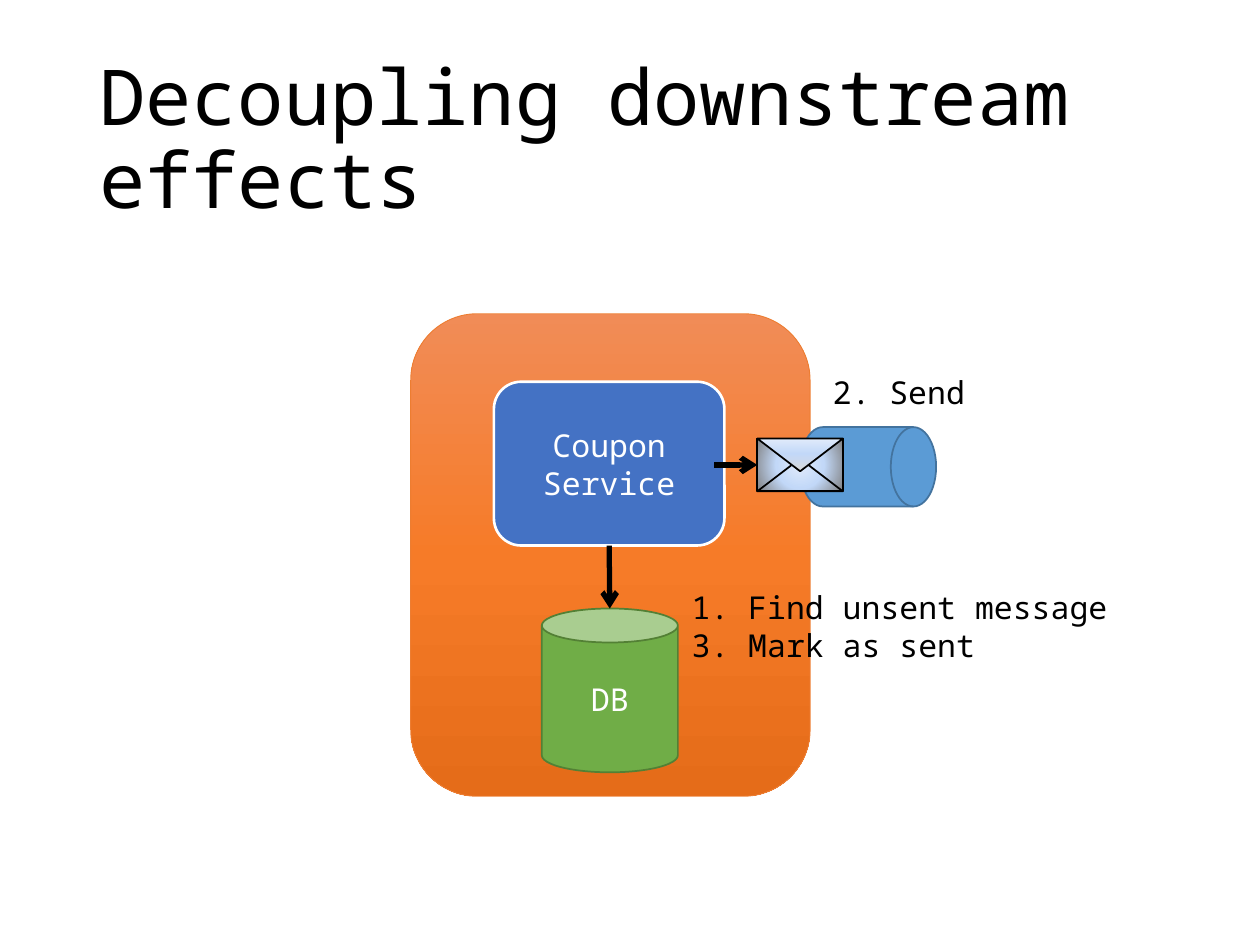
"""Build the slide on decoupling downstream effects with a message outbox."""
import pptx
import pptx.dml.color
import pptx.enum.shapes
import pptx.enum.text
import pptx.oxml
import pptx.oxml.ns
import pptx.util

Inches = pptx.util.Inches
RGBColor = pptx.dml.color.RGBColor
Shape = pptx.enum.shapes.MSO_SHAPE
Anchor = pptx.enum.text.MSO_ANCHOR
Align = pptx.enum.text.PP_ALIGN
qn = pptx.oxml.ns.qn

FONT = "Noto Sans Mono"
BLACK = RGBColor(0x00, 0x00, 0x00)
WHITE = RGBColor(0xFF, 0xFF, 0xFF)
ORANGE = RGBColor(0xED, 0x7D, 0x31)
BLUE = RGBColor(0x44, 0x72, 0xC4)
GREEN = RGBColor(0x70, 0xAD, 0x47)
DARK_GREEN = RGBColor(0x53, 0x80, 0x35)
SKY = RGBColor(0x5B, 0x9B, 0xD5)
DARK_SKY = RGBColor(0x43, 0x73, 0x9E)
ORANGE_STOPS = [(0, RGBColor(0xF1, 0x8C, 0x57)), (50, RGBColor(0xF6, 0x7B, 0x28)),
                (100, RGBColor(0xE5, 0x6C, 0x19))]
PAPER_STOPS = [(0, RGBColor(0xE1, 0xEB, 0xFB)), (48, RGBColor(0xC2, 0xD8, 0xF8))]
BODY_STOPS = PAPER_STOPS + [(100, RGBColor(0x80, 0x80, 0x80))]
FLAP_STOPS = PAPER_STOPS + [(100, RGBColor(0xD9, 0xD9, 0xD9))]
DOWN = '<a:lin ang="5400000" scaled="0"/>'
UP = '<a:lin ang="16200000" scaled="0"/>'
CIRCLE = '<a:path path="circle"><a:fillToRect l="50000" t="50000" r="50000" b="50000"/></a:path>'

TITLE = ("Decoupling downstream effects", (0.69, 0.4, 8.62, 1.45))
STEPS = [
    (["1. Find unsent message", "3. Mark as sent"], (5.39, 4.62, 3.67, 0.71)),
    (["2. Send"], (6.51, 2.91, 1.62, 0.4)),
]
BOUNDARY = (3.26, 2.49, 3.17, 3.83)
DATABASE = (4.3, 4.83, 1.08, 1.3)
SERVICE = (3.92, 3.03, 1.83, 1.3)
QUEUE = (6.35, 3.39, 1.08, 0.63)
ENVELOPE = (6.01, 3.48, 0.68, 0.42)
FLAP_HEIGHT = 0.26


def write(shape, lines, size, color, paragraph_format, frame_format):
    frame = shape.text_frame
    frame.word_wrap = True
    for name, value in frame_format.items():
        setattr(frame, name, value)
    for index, text in enumerate(lines):
        para = frame.add_paragraph() if index else frame.paragraphs[0]
        for name, value in paragraph_format.items():
            setattr(para, name, value)
        span = para.add_run()
        span.text = text
        for name, value in {"name": FONT, "size": pptx.util.Pt(size)}.items():
            setattr(span.font, name, value)
        span.font.color.rgb = color


def add_text(page, lines, place, size, paragraph_format, frame_format):
    box = page.shapes.add_textbox(*map(Inches, place))
    write(box, lines, size, BLACK, paragraph_format, frame_format)


def add_block(shapes, kind, place, fill, line, width, label=None):
    block = shapes.add_shape(kind, *map(Inches, place))
    block.shadow.inherit = False
    if fill is None:
        block.fill.background()
    else:
        block.fill.solid()
        block.fill.fore_color.rgb = fill
    block.line.color.rgb = line
    block.line.width = pptx.util.Pt(width)
    if label:
        write(block, [label], 18, WHITE, {"alignment": Align.CENTER},
              {"vertical_anchor": Anchor.MIDDLE})
    return block


def shade(block, stops, direction):
    block.fill.background()
    marks = "".join(f'<a:gs pos="{position * 1000}"><a:srgbClr val="{color}"/></a:gs>'
                    for position, color in stops)
    gradient = pptx.oxml.parse_xml(
        f'<a:gradFill {pptx.oxml.ns.nsdecls("a")} rotWithShape="1">'
        f'<a:gsLst>{marks}</a:gsLst>{direction}</a:gradFill>')
    properties = block.element.spPr
    properties.replace(properties.find(qn("a:noFill")), gradient)


def add_arrow(page, start, end):
    arrow = page.shapes.add_connector(pptx.enum.shapes.MSO_CONNECTOR.STRAIGHT,
                                      *map(Inches, start + end))
    arrow.line.color.rgb = BLACK
    arrow.line.width = pptx.util.Pt(3)
    properties = arrow.element.spPr
    head = properties.find(qn("a:ln")).makeelement(qn("a:tailEnd"), {"type": "arrow"})
    properties.find(qn("a:ln")).append(head)
    properties.append(properties.makeelement(qn("a:effectLst"), {}))
    return arrow


def add_envelope(page):
    left, top, width, height = ENVELOPE
    parts = page.shapes.add_group_shape().shapes
    body = add_block(parts, Shape.RECTANGLE, ENVELOPE, None, BLACK, 1)
    shade(body, BODY_STOPS, CIRCLE)
    add_block(parts, Shape.ISOSCELES_TRIANGLE,
              (left, top + height - FLAP_HEIGHT, width, FLAP_HEIGHT), None, BLACK, 1)
    flap = add_block(parts, Shape.ISOSCELES_TRIANGLE,
                     (left, top, width, FLAP_HEIGHT), None, BLACK, 1)
    flap.rotation = 180
    shade(flap, FLAP_STOPS, UP)
    return body


def main():
    deck = pptx.Presentation()
    deck.slide_width, deck.slide_height = Inches(10), Inches(7.5)
    page = deck.slides.add_slide(deck.slide_layouts[6])

    title, place = TITLE
    add_text(page, [title], place, 44, {"line_spacing": 0.9},
             {"vertical_anchor": Anchor.MIDDLE})
    boundary = add_block(page.shapes, Shape.ROUNDED_RECTANGLE, BOUNDARY, None, ORANGE, 0.5)
    shade(boundary, ORANGE_STOPS, DOWN)
    add_block(page.shapes, Shape.CAN, DATABASE, GREEN, DARK_GREEN, 1, "DB")
    service = add_block(page.shapes, Shape.ROUNDED_RECTANGLE, SERVICE, BLUE, WHITE, 1.5,
                        "Coupon Service")

    database_top = (DATABASE[0] + DATABASE[2] / 2, DATABASE[1])
    store = add_arrow(page, (database_top[0], SERVICE[1] + SERVICE[3]), database_top)
    store.begin_connect(service, 2)
    envelope_middle = ENVELOPE[1] + ENVELOPE[3] / 2
    send = add_arrow(page, (5.67, envelope_middle), (ENVELOPE[0], envelope_middle))

    add_block(page.shapes, Shape.FLOWCHART_DIRECT_ACCESS_STORAGE, QUEUE, SKY, DARK_SKY, 1)
    send.end_connect(add_envelope(page), 1)
    for lines, place in STEPS:
        add_text(page, lines, place, 18, {},
                 {"auto_size": pptx.enum.text.MSO_AUTO_SIZE.SHAPE_TO_FIT_TEXT})

    deck.save("out.pptx")


if __name__ == "__main__":
    main()
